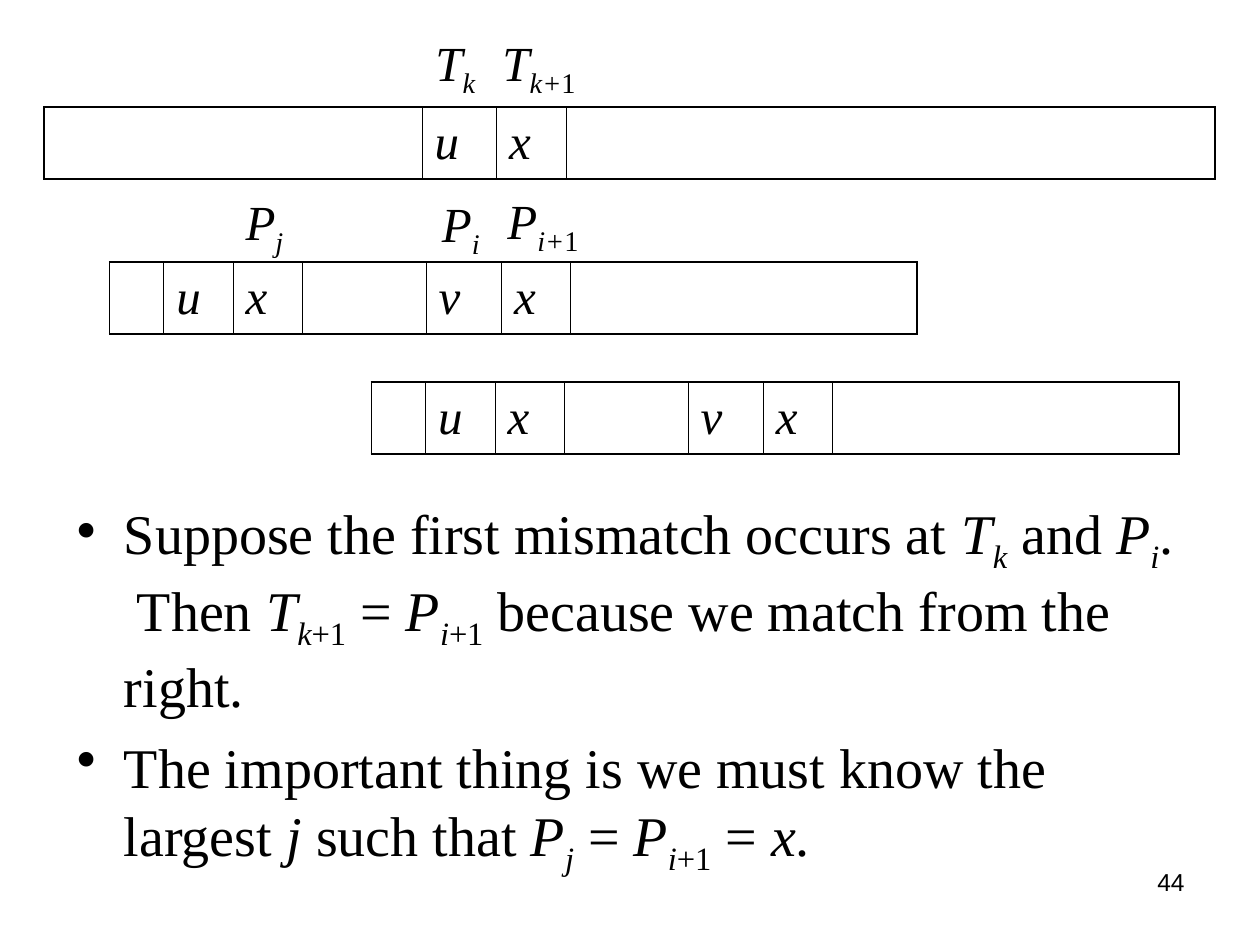
from lxml import etree
from pptx import Presentation
from pptx.dml.color import RGBColor
from pptx.enum.text import MSO_ANCHOR, MSO_AUTO_SIZE, PP_ALIGN
from pptx.oxml.ns import qn
from pptx.util import Cm, Pt

MIDDLE = MSO_ANCHOR.MIDDLE
GROW = MSO_AUTO_SIZE.SHAPE_TO_FIT_TEXT
RIGHT = PP_ALIGN.RIGHT

COLORS = {"ink": "000000", "paper": "FFFFFF"}
SERIF, SANS = "Times New Roman", "Arial"
THIN, THICK = 0.45, 1.08
ROW_HEIGHT = 1.45

# Span styles: (italic, subscript)
PLAIN, VAR, SUB, SUB_NUM = (False, False), (True, False), (True, True), (False, True)

T_K = [("T", VAR), ("k", SUB)]
P_I = [("P", VAR), ("i", SUB)]
P_J = [("P", VAR), ("j", SUB)]
T_K1 = T_K + [("+1", SUB_NUM)]
P_I1 = P_I + [("+1", SUB_NUM)]
EQUALS = [(" = ", PLAIN)]

BULLETS = [
    [("Suppose the first mismatch occurs at ", PLAIN), *T_K, (" and ", PLAIN), *P_I,
     (".  Then ", PLAIN), *T_K1, *EQUALS, *P_I1,
     (" because we match from the right.", PLAIN)],
    [("The important thing is we must know the largest ", PLAIN), ("j", VAR),
     (" such that ", PLAIN), *P_J, *EQUALS, *P_I1, *EQUALS, ("x", VAR), (".", PLAIN)],
]

# left, top, width, spans
LABELS = [
    (9.88, 0.53, 2.31, [("T", VAR), ("k+", SUB), ("1", SUB_NUM)]),
    (8.53, 0.53, 1.6, T_K),
    (9.98, 3.71, 2.13, [("P", VAR), ("i+", SUB), ("1", SUB_NUM)]),
    (8.66, 3.78, 1.32, P_I),
    (4.7, 3.73, 1.6, P_J),
]

TEXT_CELLS = [("", 7.62), ("u", 1.5), ("x", 1.4), ("", 13.08)]
PATTERN_CELLS = [("", 1.09), ("u", 1.4), ("x", 1.4), ("", 2.49),
                 ("v", 1.52), ("x", 1.4), ("", 6.98)]
# left, top, cells
STRIPS = [(0.89, 2.16, TEXT_CELLS), (2.21, 5.28, PATTERN_CELLS), (7.49, 7.7, PATTERN_CELLS)]


def color(name):
    return RGBColor.from_string(COLORS[name])


def set_font(para, size, name=SERIF):
    para.font.size = Pt(size)
    para.font.name = name
    para.font.color.rgb = color("ink")


def add_spans(para, spans):
    for text, (italic, subscript) in spans:
        span = para.add_run()
        span.text = text
        span.font.italic = italic
        if subscript:
            span.font._element.set("baseline", "-25000")


def add_box(page, left, top, width, height):
    box = page.shapes.add_textbox(Cm(left), Cm(top), Cm(width), Cm(height))
    box.text_frame.word_wrap = True
    return box.text_frame


def add_label(page, left, top, width, spans):
    frame = add_box(page, left, top, width, 1.6)
    frame.auto_size = GROW
    para = frame.paragraphs[0]
    set_font(para, 28)
    add_spans(para, spans)


def add_border(cell, sides):
    """Draw the cell edges; sides maps lnL, lnR, lnT, lnB to widths in points."""
    props = cell._tc.get_or_add_tcPr()
    for place, (side, width) in enumerate(sides.items()):
        line = etree.Element(qn("a:" + side), w=str(int(Pt(width))))
        fill = etree.SubElement(line, qn("a:solidFill"))
        etree.SubElement(fill, qn("a:srgbClr"), val=COLORS["ink"])
        props.insert(place, line)


def add_strip(page, left, top, cells):
    """Add a one-row table of symbols, framed thicker than its inner lines."""
    total = sum(width for _, width in cells)
    table = page.shapes.add_table(1, len(cells), Cm(left), Cm(top),
                                  Cm(total), Cm(ROW_HEIGHT)).table
    table.first_row = table.horz_banding = False
    last = len(cells) - 1
    for index, (symbol, width) in enumerate(cells):
        table.columns[index].width = Cm(width)
        cell = table.cell(0, index)
        cell.fill.background()
        cell.vertical_anchor = MIDDLE
        add_border(cell, {"lnL": THICK if index == 0 else THIN,
                          "lnR": THICK if index == last else THIN,
                          "lnT": THICK, "lnB": THICK})
        if symbol:
            cell.text = symbol
            para = cell.text_frame.paragraphs[0]
            set_font(para, 28)
            para.font.italic = True


def add_bullets(page, items):
    frame = add_box(page, 1.3, 9.93, 22.86, 8.2)
    for index, spans in enumerate(items):
        para = frame.paragraphs[0] if index == 0 else frame.add_paragraph()
        props = para._p.get_or_add_pPr()
        props.set("marL", str(Cm(0.95)))
        props.set("indent", str(-Cm(0.95)))
        if index:
            para.space_before = Pt(8)
        etree.SubElement(props, qn("a:buChar"), char="•")
        set_font(para, 32)
        add_spans(para, spans)


def add_page_number(page, number):
    para = add_box(page, 18.21, 17.35, 5.92, 1.32).paragraphs[0]
    para.text = number
    para.alignment = RIGHT
    set_font(para, 14, SANS)


def main():
    deck = Presentation()
    deck.slide_width, deck.slide_height = Cm(25.4), Cm(19.05)
    page = deck.slides.add_slide(deck.slide_layouts[6])
    page.background.fill.solid()
    page.background.fill.fore_color.rgb = color("paper")

    add_bullets(page, BULLETS)
    for strip in STRIPS:
        add_strip(page, *strip)
    for label in LABELS:
        add_label(page, *label)
    add_page_number(page, "44")
    deck.save("out.pptx")


if __name__ == "__main__":
    main()
